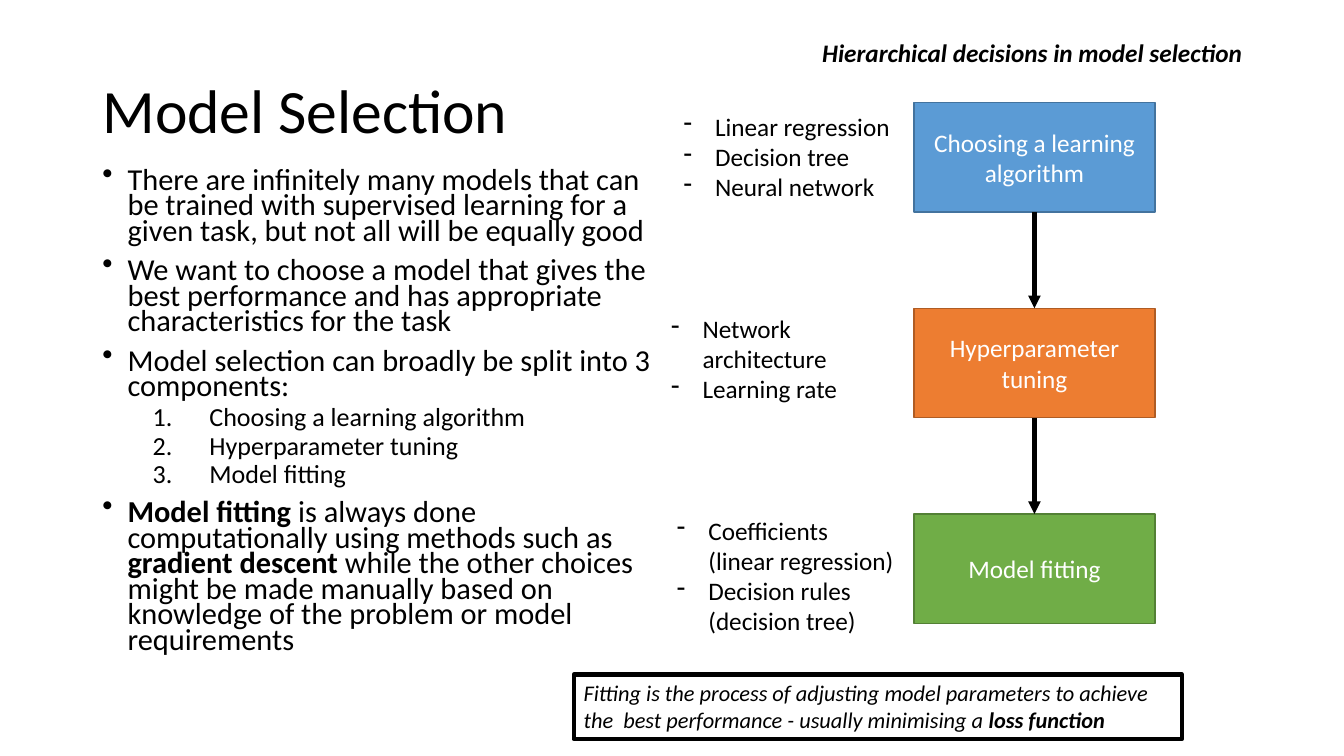
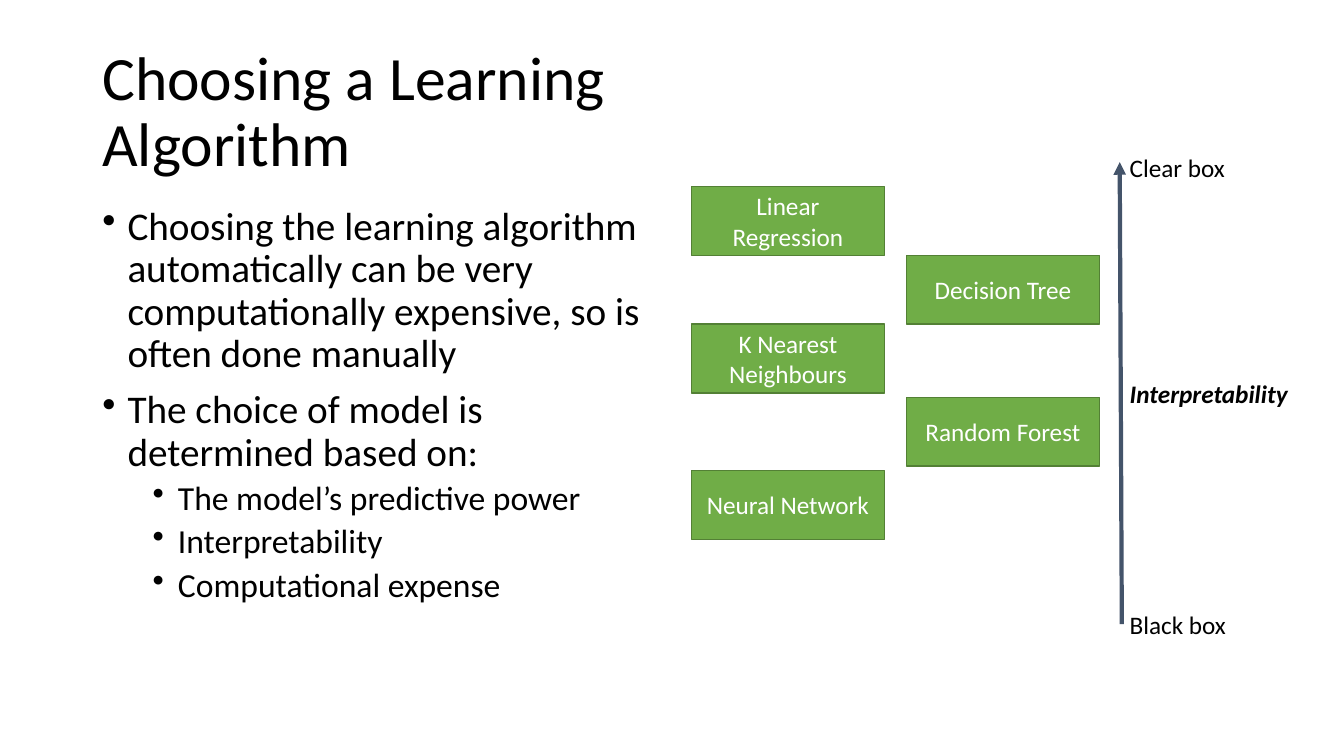
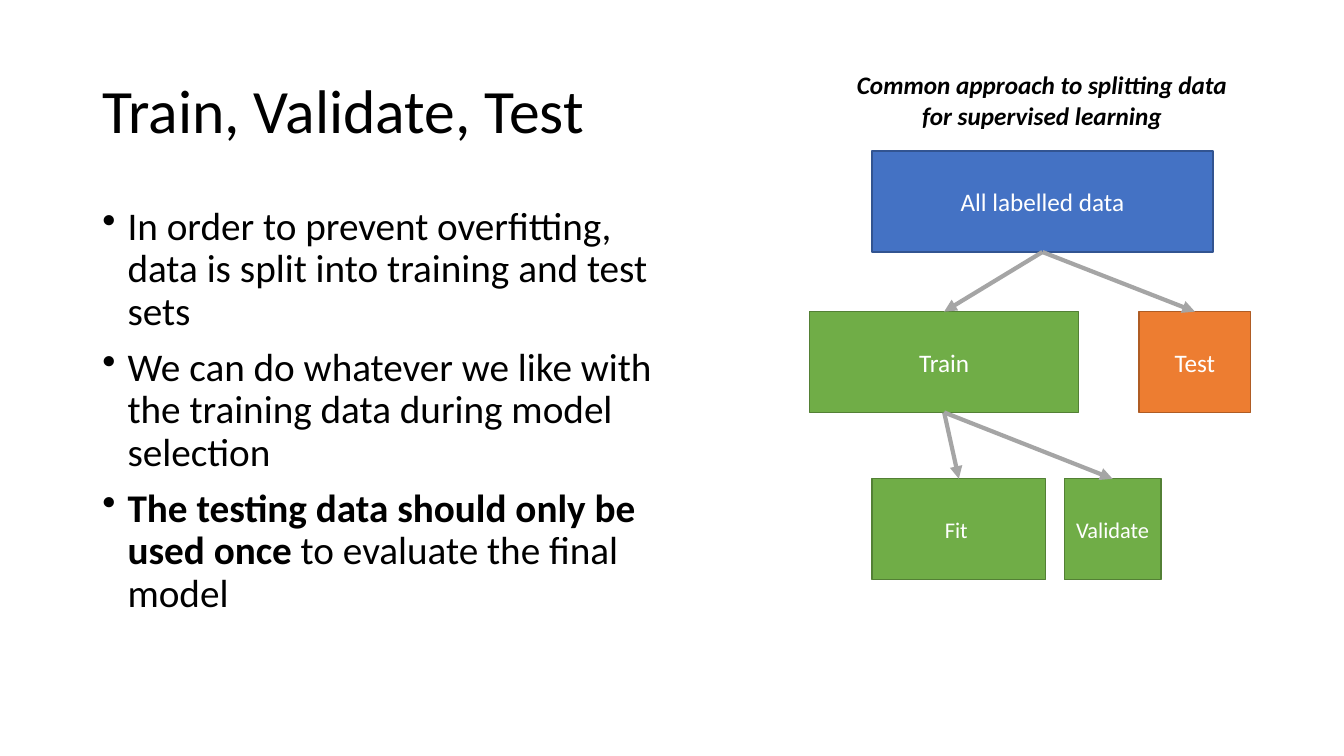
from collections import namedtuple

from lxml.etree import SubElement
from pptx import Presentation
from pptx.dml.color import RGBColor
from pptx.enum.shapes import MSO_CONNECTOR as Connector, MSO_SHAPE as Preset
from pptx.enum.text import MSO_ANCHOR as Anchor, PP_ALIGN as Align
from pptx.oxml.ns import qn
from pptx.util import Inches, Pt

BLACK = RGBColor(0x00, 0x00, 0x00)
WHITE = RGBColor(0xFF, 0xFF, 0xFF)
SLATE = RGBColor(0x44, 0x54, 0x6A)
GREY = RGBColor(0xA5, 0xA5, 0xA5)

# Each tint pairs a fill with its outline.
SKY = RGBColor(0x5B, 0x9B, 0xD5), RGBColor(0x43, 0x73, 0x9E)
BLUE = RGBColor(0x44, 0x72, 0xC4), RGBColor(0x32, 0x54, 0x91)
GREEN = RGBColor(0x70, 0xAD, 0x47), RGBColor(0x53, 0x80, 0x35)
ORANGE = RGBColor(0xED, 0x7D, 0x31), RGBColor(0xAF, 0x5C, 0x24)
FRAME = WHITE, BLACK

TOP, BOTTOM = 0, 2
COLUMNS, ROWS = 160, 90
LEFT_MARGIN = 11
LINE_ROWS = 4.8

# Margin and hang are in columns, space before is in points.
ListLevel = namedtuple("ListLevel", "mark margin hang before")
BULLET = ListLevel("•", 3, 3, 10)
SUB_BULLET = ListLevel("•", 9, 3, 5)
NUMBER = ListLevel("1.", 12.75, 6.75, 5)
DASH = ListLevel("-", 3.75, 3.75, 0)


class Deck:
    """Style, current slide and a 160 by 90 grid for all lengths."""

    font = "Calibri"
    title_size, label_size = 44, 18

    def __init__(self):
        self.file = Presentation()
        self.file.slide_width = Inches(13.33)
        self.file.slide_height = Inches(7.5)
        self.slide = None

    def col(self, count):
        return round(self.file.slide_width * count / COLUMNS)

    def row(self, count):
        return round(self.file.slide_height * count / ROWS)

    def area(self, left, top, width, height):
        return self.col(left), self.row(top), self.col(width), self.row(height)

    def new_slide(self, title, width=67.8):
        self.slide = self.file.slides.add_slide(self.file.slide_layouts[6])
        frame = self.text_frame((LEFT_MARGIN, 4.8, width, 17.4))
        frame.vertical_anchor = Anchor.MIDDLE
        self.add_text(frame.paragraphs[0], title, self.title_size, spacing=0.9)

    def text_frame(self, place, wrap=True):
        frame = self.slide.shapes.add_textbox(*self.area(*place)).text_frame
        frame.word_wrap = wrap
        return frame

    def add_text(self, paragraph, content, size, color=BLACK, style="",
                 align=Align.LEFT, spacing=None):
        """Add runs: content is a string or (text, style) pairs; style holds b, i."""
        paragraph.alignment = align
        if spacing:
            paragraph.line_spacing = spacing
        for text, marks in [(content, style)] if isinstance(content, str) else content:
            run = paragraph.add_run()
            run.text = text
            run.font.name, run.font.size = self.font, Pt(size)
            run.font.bold, run.font.italic = "b" in marks, "i" in marks
            run.font.color.rgb = color

    def set_level(self, paragraph, level):
        paragraph.space_before = Pt(level.before)
        props = paragraph._p.get_or_add_pPr()
        props.set("marL", str(self.col(level.margin)))
        props.set("indent", str(-self.col(level.hang)))
        if level is NUMBER:
            SubElement(props, qn("a:buAutoNum"), type="arabicPeriod")
        else:
            SubElement(props, qn("a:buChar"), char=level.mark)

    def items(self, place, entries, sizes, spacing=None):
        """Add (level, content) entries; sizes maps each level to points."""
        frame = self.text_frame(place)
        for index, (level, content) in enumerate(entries):
            paragraph = frame.add_paragraph() if index else frame.paragraphs[0]
            self.add_text(paragraph, content, sizes[level], spacing=spacing)
            self.set_level(paragraph, level)

    def label(self, place, text, style="", align=Align.LEFT, wrap=False):
        frame = self.text_frame(place, wrap)
        self.add_text(frame.paragraphs[0], text, self.label_size, style=style, align=align)

    def rectangle(self, place, tint, weight):
        box = self.slide.shapes.add_shape(Preset.RECTANGLE, *self.area(*place))
        box.shadow.inherit = False
        box.fill.solid()
        box.fill.fore_color.rgb, box.line.color.rgb = tint
        box.line.width = Pt(weight)
        box.text_frame.word_wrap = True
        return box

    def box(self, place, text, tint, size=label_size):
        box = self.rectangle(place, tint, 1)
        box.text_frame.vertical_anchor = Anchor.MIDDLE
        self.add_text(box.text_frame.paragraphs[0], text, size, WHITE, align=Align.CENTER)
        return box

    def note(self, place, content, size):
        frame = self.rectangle(place, FRAME, 3).text_frame
        frame.vertical_anchor = Anchor.TOP
        self.add_text(frame.paragraphs[0], content, size)

    def arrow(self, color, start=(0, 0), end=(0, 0)):
        arrow = self.slide.shapes.add_connector(
            Connector.STRAIGHT, self.col(start[0]), self.row(start[1]),
            self.col(end[0]), self.row(end[1]))
        arrow.line.color.rgb, arrow.line.width = color, Pt(3)
        props = arrow.element.spPr
        SubElement(props.find(qn("a:ln")), qn("a:tailEnd"), type="triangle")
        SubElement(props, qn("a:effectLst"))
        return arrow

    def flow(self, upper, lower, color):
        """Draw an arrow from the foot of one box to the top of another."""
        arrow = self.arrow(color)
        arrow.begin_connect(upper, BOTTOM)
        arrow.end_connect(lower, TOP)


def model_selection(deck):
    deck.new_slide("Model Selection")
    deck.items((LEFT_MARGIN, 19.6, 67.8, 60.6), [
        (BULLET, "There are infinitely many models that can be trained with supervised "
                 "learning for a given task, but not all will be equally good"),
        (BULLET, "We want to choose a model that gives the best performance and has "
                 "appropriate characteristics for the task"),
        (BULLET, "Model selection can broadly be split into 3 components:"),
        (NUMBER, "Choosing a learning algorithm"),
        (NUMBER, "Hyperparameter tuning"),
        (NUMBER, "Model fitting"),
        (BULLET, [("Model fitting ", "b"),
                  ("is always done computationally using methods such as ", ""),
                  ("gradient descent ", "b"),
                  ("while the other choices might be made manually based on knowledge "
                   "of the problem or model requirements", "")]),
    ], {BULLET: 21.7, NUMBER: 18.6}, spacing=0.7)

    deck.label((96.7, 3.8, 52.9, LINE_ROWS), "Hierarchical decisions in model selection", "bi")
    stages = [("Choosing a learning algorithm", SKY),
              ("Hyperparameter tuning", ORANGE),
              ("Model fitting", GREEN)]
    boxes = [deck.box((108.8, 12.2 + 24.5 * step, 28.7, 13.05), text, tint)
             for step, (text, tint) in enumerate(stages)]
    for upper, lower in zip(boxes, boxes[1:]):
        deck.flow(upper, lower, BLACK)

    examples = [
        (80.2, 12.6, ["Linear regression", "Decision tree", "Neural network"]),
        (78.7, 36.7, ["Network architecture", "Learning rate"]),
        (79.4, 60.7, ["Coefficients (linear regression)", "Decision rules (decision tree)"]),
    ]
    for left, top, names in examples:
        deck.items((left, top, 28.3, 12.1), [(DASH, name) for name in names],
                   {DASH: deck.label_size})
    deck.note((68.3, 80.3, 72.4, 7.7), [
        ("Fitting is the process of adjusting model parameters to achieve the  best "
         "performance - usually minimising a ", "i"),
        ("loss function", "bi")], 16)


def learning_algorithm(deck):
    deck.new_slide("Choosing a Learning Algorithm")
    deck.items((LEFT_MARGIN, 24, 68.9, 57.1), [
        (BULLET, "Choosing the learning algorithm automatically can be very "
                 "computationally expensive, so is often done manually"),
        (BULLET, "The choice of model is determined based on:"),
        (SUB_BULLET, "The model’s predictive power"),
        (SUB_BULLET, "Interpretability"),
        (SUB_BULLET, "Computational expense"),
    ], {BULLET: 28, SUB_BULLET: 24}, spacing=0.9)

    algorithms = [("Linear Regression", 22.2), ("Decision Tree", 30.4),
                  ("K Nearest Neighbours", 38.6), ("Random Forest", 47.3),
                  ("Neural Network", 56)]
    for index, (name, top) in enumerate(algorithms):
        deck.box((82.3 + 25.6 * (index % 2), top, 23, 8.2), name, GREEN)

    axis = 133.3
    deck.arrow(SLATE, (axis + 0.25, 74.3), (axis, 19.3))
    deck.label((axis, 44.4, 21.4, LINE_ROWS), "Interpretability", "bi")
    deck.label((axis, 17.5, 13.9, LINE_ROWS), "Clear box")
    deck.label((axis, 71.9, 14, LINE_ROWS), "Black box")


def data_split(deck):
    deck.new_slide("Train, Validate, Test", width=83)
    deck.items((LEFT_MARGIN, 24, 71.9, 57.1), [
        (BULLET, "In order to prevent overfitting, data is split into training and test sets"),
        (BULLET, "We can do whatever we like with the training data during model selection"),
        (BULLET, [("The testing data should only be used once", "b"),
                  (" to evaluate the final model", "")]),
    ], {BULLET: 28}, spacing=0.9)

    deck.label((99.1, 7.7, 49.9, 8.5),
               "Common approach to splitting data for supervised learning",
               "bi", Align.CENTER, wrap=True)
    height = 12
    labelled = deck.box((103.8, 18, 40.6, height), "All labelled data", BLUE)
    train = deck.box((96.4, 37.1, 32, height), "Train", GREEN)
    test = deck.box((135.6, 37.1, 13.3, height), "Test", ORANGE)
    fit = deck.box((103.8, 57, 20.7, height), "Fit ", GREEN, 16)
    validate = deck.box((126.7, 57, 11.5, height), "Validate", GREEN, 16)
    for whole, part in [(labelled, train), (labelled, test), (train, fit), (train, validate)]:
        deck.flow(whole, part, GREY)


def main():
    deck = Deck()
    for build in (model_selection, learning_algorithm, data_split):
        build(deck)
    deck.file.save("out.pptx")


if __name__ == "__main__":
    main()
